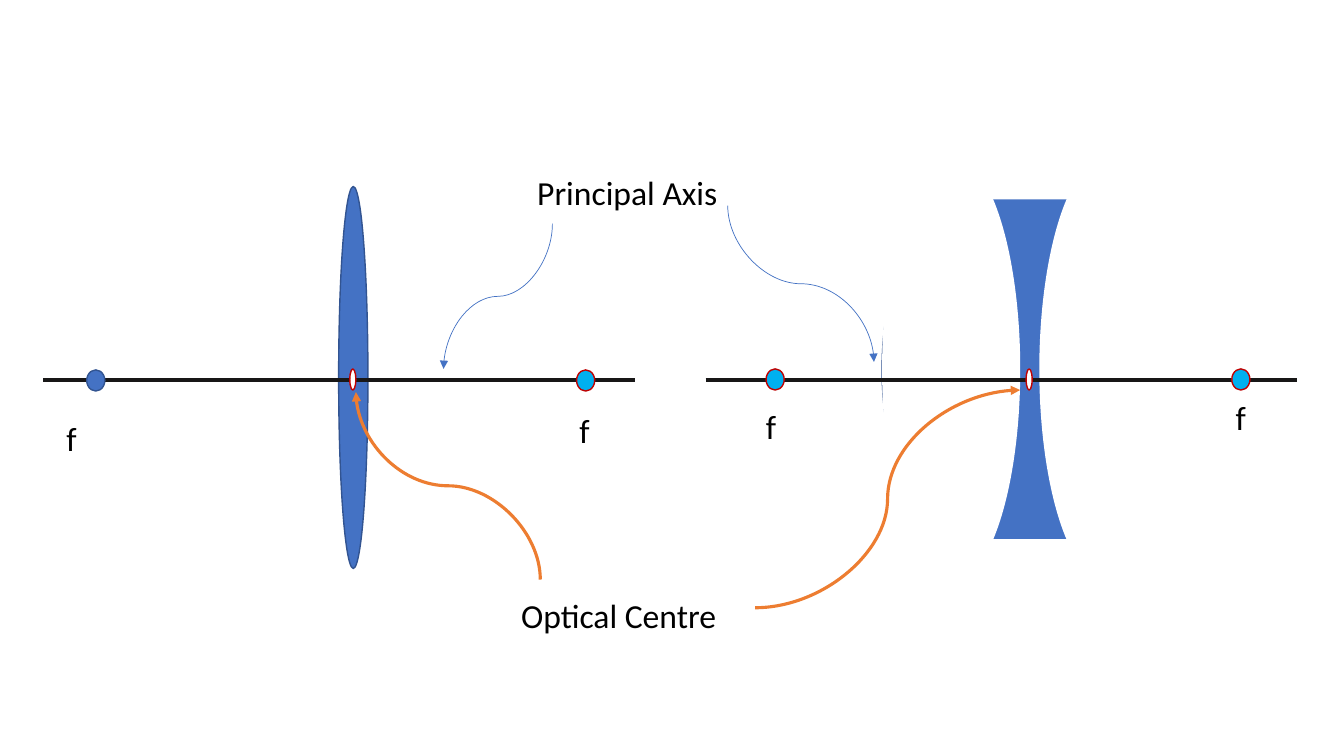
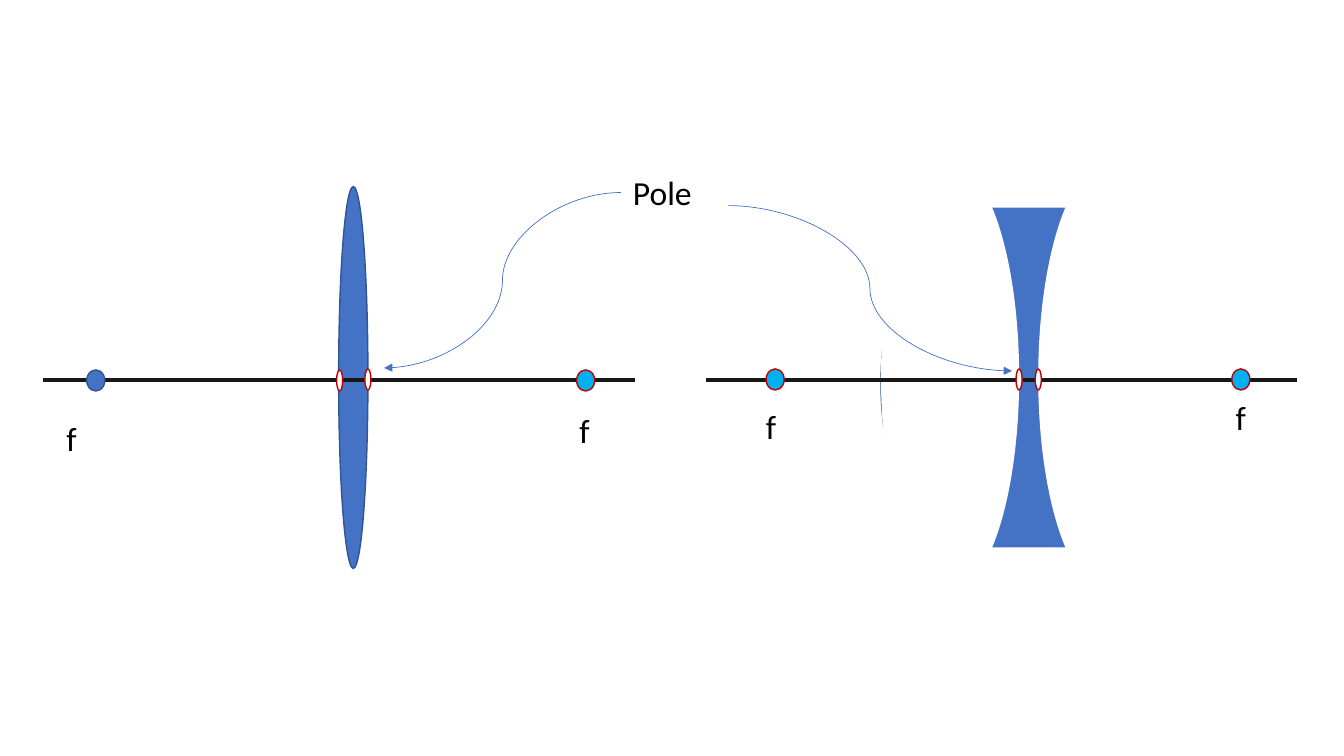
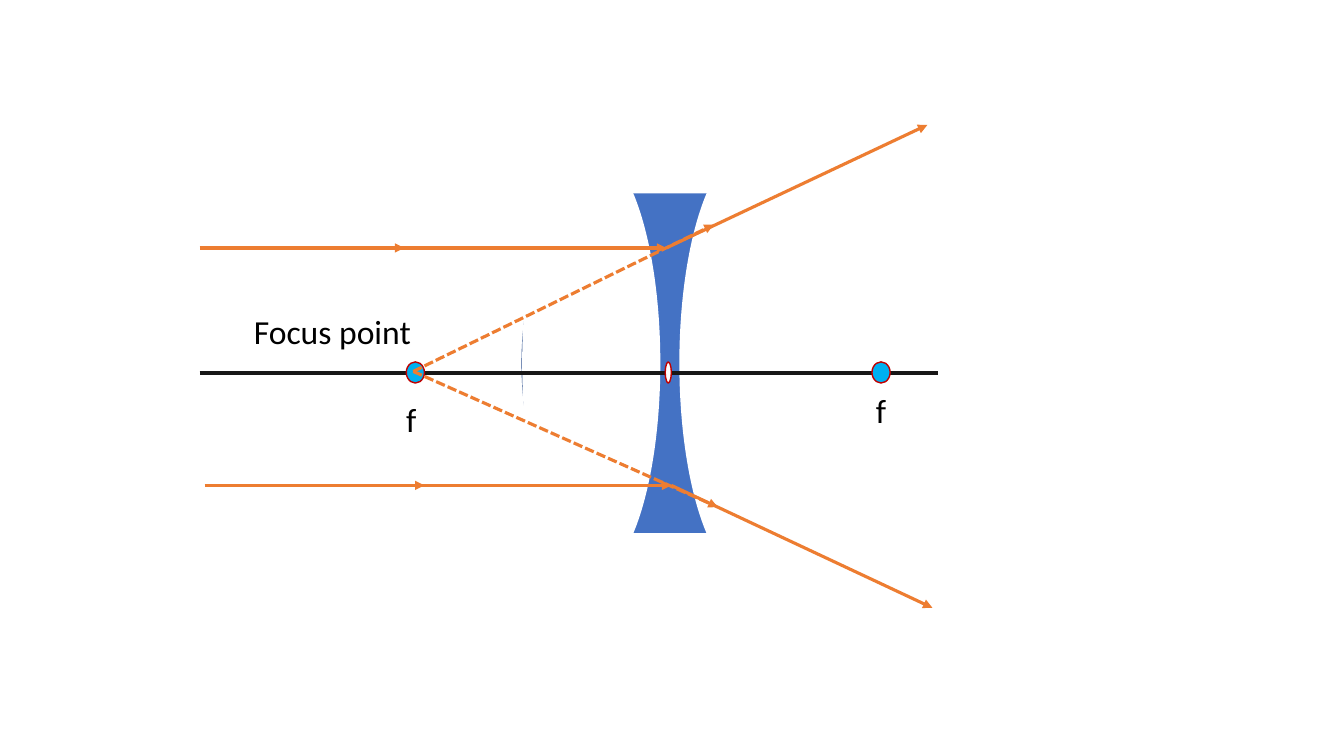
"""Build three lens diagrams, with lengths in a grid of 100 columns by 100 rows."""
import lxml.etree
import pptx
import pptx.dml.color
import pptx.enum.dml
import pptx.enum.shapes
import pptx.enum.text
import pptx.oxml.ns
import pptx.util

COLORS = {"lens": "4472C4", "rim": "325491", "axis": "181717", "ray": "ED7D31",
          "focus": "00B0F0", "red": "C00000", "white": "FFFFFF", "text": "000000"}
FONT = "Calibri"
TEXT_SIZE = 24
DOT = (1.35, 2.8)
MARK = (0.45, 2.8)
AXIS_DROP = 1.47
LENS = (19.43, 56.67)
MASKS = [("OVAL", 0, 0, 10.28, 56.67), ("OVAL", 11.7, 0, 10.35, 56.67),
         ("RECTANGLE", -8.78, -14.13, 38.18, 20), ("RECTANGLE", -7.95, 50.8, 38.18, 20)]

prs = pptx.Presentation()
prs.slide_width = pptx.util.Inches(13.33)
prs.slide_height = pptx.util.Inches(7.5)


def col(n):
    """Return the length of n columns."""
    return round(prs.slide_width * n / 100)


def row(n):
    """Return the length of n rows."""
    return round(prs.slide_height * n / 100)


def rgb(name):
    """Return a named colour."""
    return pptx.dml.color.RGBColor.from_string(COLORS[name])


def shape(shapes, kind, x, y, w, h, fill, line=None):
    """Add a filled preset shape, outlined if a line colour is given."""
    preset = getattr(pptx.enum.shapes.MSO_SHAPE, kind)
    sp = shapes.add_shape(preset, col(x), row(y), col(w), row(h))
    sp.shadow.inherit = False
    sp.fill.solid()
    sp.fill.fore_color.rgb = rgb(fill)
    if line:
        sp.line.color.rgb = rgb(line)
        sp.line.width = pptx.util.Pt(1)
    else:
        sp.line.fill.background()


def label(s, text, x, y, w=19.95):
    """Add a line of text."""
    sp = s.shapes.add_textbox(col(x), row(y), col(w), row(6.67))
    tf = sp.text_frame
    tf.word_wrap = True
    tf.auto_size = pptx.enum.text.MSO_AUTO_SIZE.SHAPE_TO_FIT_TEXT
    r = tf.paragraphs[0].add_run()
    r.text = text
    r.font.name = FONT
    r.font.size = pptx.util.Pt(TEXT_SIZE)
    r.font.color.rgb = rgb("text")


def style_line(c, color, width, arrow=True, dashed=False):
    """Set the stroke of a connector and the arrow at its end."""
    c.line.color.rgb = rgb(color)
    c.line.width = pptx.util.Pt(width)
    if dashed:
        c.line.dash_style = pptx.enum.dml.MSO_LINE.SQUARE_DOT
    props = c._element.spPr
    if arrow:
        lxml.etree.SubElement(props.get_or_add_ln(), pptx.oxml.ns.qn("a:tailEnd"), type="triangle")
    lxml.etree.SubElement(props, pptx.oxml.ns.qn("a:effectLst"))


def straight(s, x1, y1, x2, y2, color="ray", width=2.25, **style):
    """Add a straight line."""
    c = s.shapes.add_connector(pptx.enum.shapes.MSO_CONNECTOR.STRAIGHT,
                               col(x1), row(y1), col(x2), row(y2))
    style_line(c, color, width, **style)


def curve(s, x1, y1, x2, y2, color="lens", width=0.5, turn=0):
    """Add an S-shaped arrow that leaves sideways, or upright if turned by 90 or 270 degrees."""
    ends = [col(x1), row(y1), col(x2), row(y2)]
    if turn:
        sign = 1 if turn == 90 else -1
        mid_x, mid_y = (ends[0] + ends[2]) // 2, (ends[1] + ends[3]) // 2
        u, v = sign * (ends[0] - mid_x), sign * (ends[1] - mid_y)
        ends = [mid_x + v, mid_y - u, mid_x - v, mid_y + u]
    c = s.shapes.add_connector(pptx.enum.shapes.MSO_CONNECTOR.CURVE, *ends)
    if turn:
        c._element.spPr.xfrm.set("rot", str(turn * 60000))
    style_line(c, color, width)


def focus(s, x, y, dx, dy, fill="focus", line="red"):
    """Add a focus dot and its letter, offset from the dot."""
    shape(s.shapes, "OVAL", x, y, *DOT, fill, line)
    label(s, "f", x + dx, y + dy, 2.93)


def centre_mark(s, x, y):
    """Add a narrow mark on the axis."""
    shape(s.shapes, "OVAL", x, y, *MARK, "white", "red")


def convex(s, x, y, marks):
    """Draw the convex lens and its axis from the left focus at x, y."""
    shape(s.shapes, "OVAL", x + 18.75, y - 24.26, 2.18, 50.53, "lens", "rim")
    straight(s, x - 3.22, y + 1.34, x + 40.8, y + 1.34, "axis", 3, arrow=False)
    focus(s, x, y, -2.25, 5.74, "lens", "rim")
    focus(s, x + 36.45, y, -0.52, 4.67)
    for dx, dy in marks:
        centre_mark(s, x + dx, y + dy)


def concave(s, x, y, marks, lens_at=(8.63, -28.27), sag=0, axis_start=-4.5):
    """Draw the concave lens and its axis from the left focus at x, y."""
    lens_x, lens_y = x + lens_at[0], y + lens_at[1]
    group = s.shapes.add_group_shape()
    shape(group.shapes, "OVAL", lens_x, lens_y + sag, *LENS, "lens", "rim")
    for kind, dx, dy, w, h in MASKS:
        shape(group.shapes, kind, lens_x + dx, lens_y + dy, w, h, "white")
    straight(s, x + axis_start, y + AXIS_DROP, x + 39.53, y + AXIS_DROP, "axis", 3, arrow=False)
    focus(s, x, y, -0.75, 4.27)
    focus(s, x + 34.65, y, -0.45, 3.07)
    for dx in marks:
        centre_mark(s, x + dx, y)


def new_slide():
    """Add an empty slide."""
    return prs.slides.add_slide(prs.slide_layouts[6])


def axis_slide():
    """Name the principal axis and the optical centre of both lenses."""
    s = new_slide()
    convex(s, 6.45, 48.93, [(19.58, -0.13)])
    concave(s, 57, 48.8, [19.35])
    label(s, "Principal Axis", 39.23, 22.13)
    curve(s, 41.1, 29.6, 33, 48.8, turn=90)
    curve(s, 54.15, 27.2, 65.03, 47.87, turn=270)
    label(s, "Optical Centre", 38.03, 78)
    curve(s, 40.2, 76.67, 26.48, 51.87, "ray", 2.25, turn=270)
    curve(s, 56.18, 80.4, 75.9, 51.6, "ray", 2.25)


def pole_slide():
    """Name the poles of both lenses."""
    s = new_slide()
    convex(s, 6.45, 48.93, [(20.7, -0.13), (18.6, 0)])
    concave(s, 57, 48.8, [18.6, 20.03], lens_at=(8.55, -27.2), sag=0.8)
    label(s, "Pole", 46.35, 22.13, 6.5)
    curve(s, 46.2, 25.47, 28.58, 48.67)
    curve(s, 54.15, 27.2, 75.3, 49.07)


def ray_slide():
    """Trace two parallel rays through the concave lens."""
    s = new_slide()
    concave(s, 30.23, 47.87, [19.27], lens_at=(8.62, -28.14), axis_start=-15.38)
    rays = [(14.85, 49.58, 32.8, 23.85, (69, 16.53), (53.1, 29.73)),
            (15.23, 49.95, 64.2, 25.35, (69.38, 80.4), (53.4, 67.07))]
    for start, lens, y, arrow, out, trace in rays:
        straight(s, start, y, lens, y)
        straight(s, arrow, y, arrow + 6.23, y)
        straight(s, lens, y, *out)
        straight(s, 30.75, 49.13, *trace, dashed=True)
    label(s, "Focus point", 18.15, 40.53)


axis_slide()
pole_slide()
ray_slide()
prs.save("out.pptx")
